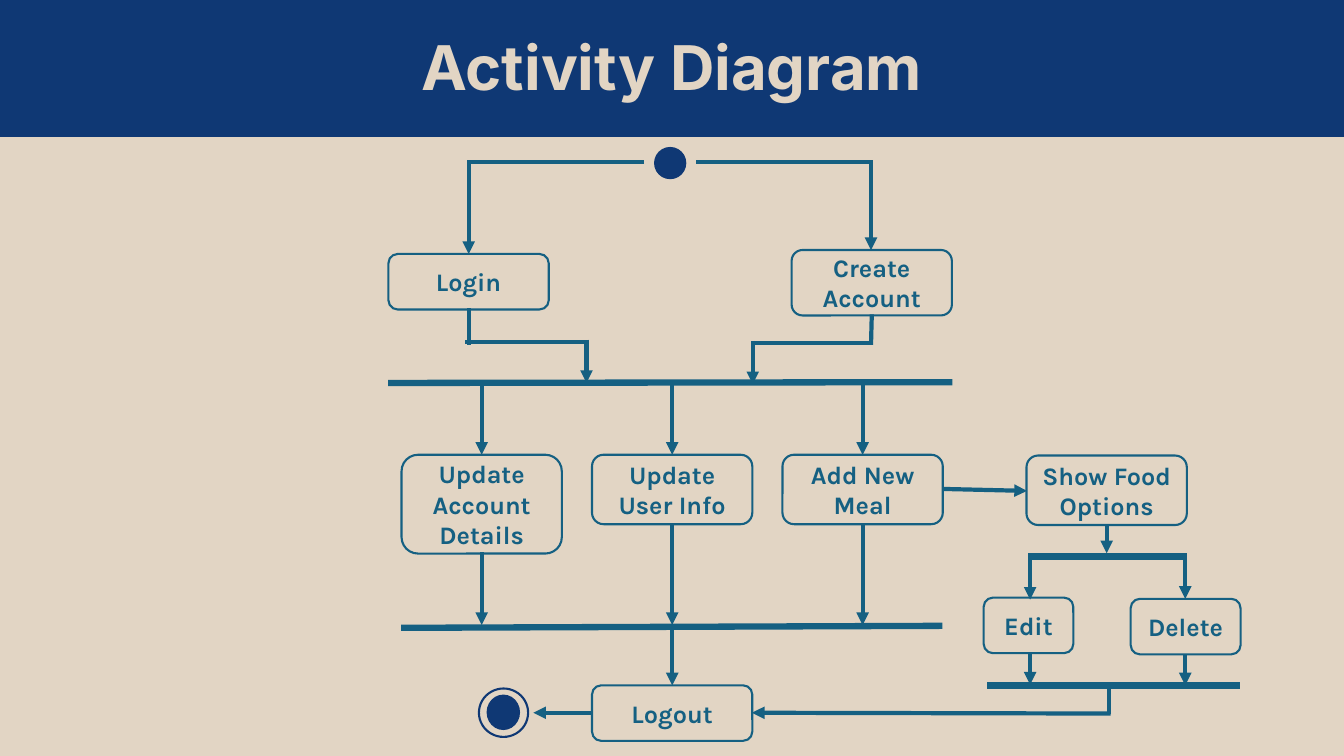
from dataclasses import dataclass

import pptx
import pptx.dml.color
import pptx.enum.shapes
import pptx.enum.text
import pptx.oxml
import pptx.oxml.ns
import pptx.util

Cm = pptx.util.Cm
Pt = pptx.util.Pt
SHAPE = pptx.enum.shapes.MSO_SHAPE

COLOURS = {"navy": "0F3874", "sand": "E2D5C4", "teal": "156082"}

# All positions are in centimetres
PAGE_WIDTH, PAGE_HEIGHT, BANNER_HEIGHT = 33.87, 19.05, 3.45
LOGIN_X, CREATE_X = 11.81, 21.97
ACCOUNT_X, USER_X, MEAL_X = 12.14, 16.94, 21.74
FOOD_X, EDIT_X, DELETE_X = 27.89, 25.96, 29.87


@dataclass
class Activity:
    lines: list[str]
    centre: float
    top: float
    height: float = 1.4
    width: float = 4.04


@dataclass
class Flow:
    x1: float
    y1: float
    x2: float
    y2: float
    arrow: bool = True
    weight: float = 3


@dataclass
class Disc:
    left: float
    top: float
    width: float
    height: float
    filled: bool = True


def down(x: float, top: float, bottom: float) -> Flow:
    return Flow(x, top, x, bottom)


def plain(x1: float, y1: float, x2: float, y2: float) -> Flow:
    return Flow(x1, y1, x2, y2, arrow=False)


def bar(x1: float, y1: float, x2: float, y2: float) -> Flow:
    return Flow(x1, y1, x2, y2, arrow=False, weight=4.5)


ACTIVITIES = [
    Activity(["Login"], LOGIN_X, 6.4),
    Activity(["Create", "Account"], CREATE_X, 6.3, 1.65),
    Activity(["Update", "Account Details"], ACCOUNT_X, 11.46, 2.49),
    Activity(["Update", "User Info"], USER_X, 11.46, 1.75),
    Activity(["Add New", "Meal"], MEAL_X, 11.46, 1.75),
    Activity(["Show Food Options"], FOOD_X, 11.48, 1.75),
    Activity(["Edit"], 25.92, 15.06, width=2.26),
    Activity(["Delete"], 29.88, 15.09, width=2.77),
    Activity(["Logout"], USER_X, 17.27),
]

FLOWS = [
    # Start to login and account creation
    plain(16.23, 4.09, LOGIN_X, 4.09),
    plain(CREATE_X, 4.09, 17.55, 4.09),
    down(LOGIN_X, 4.04, 6.4),
    down(21.95, 4.04, 6.3),
    # Both ways in meet at the first bar
    plain(LOGIN_X, 8.69, LOGIN_X, 7.77),
    plain(21.95, 8.69, CREATE_X, 7.92),
    plain(14.78, 8.61, 11.73, 8.61),
    plain(CREATE_X, 8.64, 18.95, 8.64),
    down(14.78, 8.56, 9.65),
    down(18.97, 8.59, 9.68),
    bar(24, 9.63, 9.78, 9.65),
    # Three parallel activities
    down(ACCOUNT_X, 9.58, 11.46),
    down(USER_X, 9.65, 11.46),
    down(MEAL_X, 9.65, 11.46),
    down(ACCOUNT_X, 13.92, 15.75),
    down(USER_X, 13.21, 15.75),
    down(MEAL_X, 13.21, 15.75),
    bar(23.75, 15.77, 10.11, 15.82),
    down(USER_X, 15.82, 17.27),
    # Food options branch
    Flow(23.75, 12.32, 25.88, 12.37),
    down(FOOD_X, 13.23, 13.94),
    bar(29.9, 14.02, 25.91, 14.02),
    down(EDIT_X, 14.05, 15.11),
    down(DELETE_X, 13.94, 15.09),
    down(EDIT_X, 16.43, 17.25),
    down(DELETE_X, 16.48, 17.27),
    bar(31.24, 17.27, 24.87, 17.27),
    # Logout and end
    plain(27.94, 17.98, 27.94, 17.37),
    Flow(27.99, 17.98, 18.95, 17.96),
    Flow(14.91, 17.96, 13.44, 17.96),
]

START = Disc(16.51, 3.73, 0.76, 0.76)
END = [Disc(12.29, 17.53, 0.79, 0.84), Disc(12.07, 17.35, 1.24, 1.22, filled=False)]


def colour(name: str) -> pptx.dml.color.RGBColor:
    return pptx.dml.color.RGBColor.from_string(COLOURS[name])


def write(frame, lines: list[str], font: str, size: float, ink: str) -> None:
    frame.word_wrap = True
    frame.vertical_anchor = pptx.enum.text.MSO_ANCHOR.MIDDLE
    for index, line in enumerate(lines):
        para = frame.add_paragraph() if index else frame.paragraphs[0]
        para.alignment = pptx.enum.text.PP_ALIGN.CENTER
        span = para.add_run()
        span.text = line
        span.font.name = font
        span.font.size = Pt(size)
        span.font.bold = True
        span.font.color.rgb = colour(ink)


def draw_banner(page) -> None:
    group = page.shapes.add_group_shape()
    band = group.shapes.add_shape(SHAPE.RECTANGLE, 0, 0, Cm(PAGE_WIDTH), Cm(BANNER_HEIGHT))
    band.shadow.inherit = False
    band.fill.solid()
    band.fill.fore_color.rgb = colour("navy")
    band.line.fill.background()
    title = group.shapes.add_textbox(0, Cm(0.05), Cm(PAGE_WIDTH), Cm(BANNER_HEIGHT))
    write(title.text_frame, ["Activity Diagram"], "Inter", 44, "sand")
    title.text_frame.paragraphs[0].line_spacing = 0.9
    title.text_frame.paragraphs[0].space_before = Pt(10)


def draw_disc(shapes, disc: Disc) -> None:
    circle = shapes.add_shape(
        SHAPE.OVAL, Cm(disc.left), Cm(disc.top), Cm(disc.width), Cm(disc.height))
    circle.shadow.inherit = False
    if disc.filled:
        circle.fill.solid()
        circle.fill.fore_color.rgb = colour("navy")
    else:
        circle.fill.background()
    circle.line.color.rgb = colour("navy")
    circle.line.width = Pt(1.5)


def draw_activity(page, activity: Activity) -> None:
    box = page.shapes.add_shape(
        SHAPE.ROUNDED_RECTANGLE, Cm(activity.centre - activity.width / 2),
        Cm(activity.top), Cm(activity.width), Cm(activity.height))
    box.shadow.inherit = False
    box.fill.background()
    box.line.color.rgb = colour("teal")
    box.line.width = Pt(1.5)
    write(box.text_frame, activity.lines, "Karla", 18, "teal")


def draw_flow(page, flow: Flow) -> None:
    link = page.shapes.add_connector(
        pptx.enum.shapes.MSO_CONNECTOR.STRAIGHT,
        Cm(flow.x1), Cm(flow.y1), Cm(flow.x2), Cm(flow.y2))
    link.line.color.rgb = colour("teal")
    link.line.width = Pt(flow.weight)
    namespace = pptx.oxml.ns.nsdecls("a")
    if flow.arrow:
        head = pptx.oxml.parse_xml(f'<a:tailEnd {namespace} type="triangle"/>')
        link.line._get_or_add_ln().append(head)
    link._element.spPr.append(pptx.oxml.parse_xml(f"<a:effectLst {namespace}/>"))


def main() -> None:
    deck = pptx.Presentation()
    deck.slide_width, deck.slide_height = Cm(PAGE_WIDTH), Cm(PAGE_HEIGHT)
    page = deck.slides.add_slide(deck.slide_layouts[6])
    page.background.fill.solid()
    page.background.fill.fore_color.rgb = colour("sand")

    draw_banner(page)
    draw_disc(page.shapes, START)
    for flow in FLOWS:
        draw_flow(page, flow)
    for activity in ACTIVITIES:
        draw_activity(page, activity)
    end = page.shapes.add_group_shape()
    for disc in END:
        draw_disc(end.shapes, disc)

    deck.save("out.pptx")


if __name__ == "__main__":
    main()
